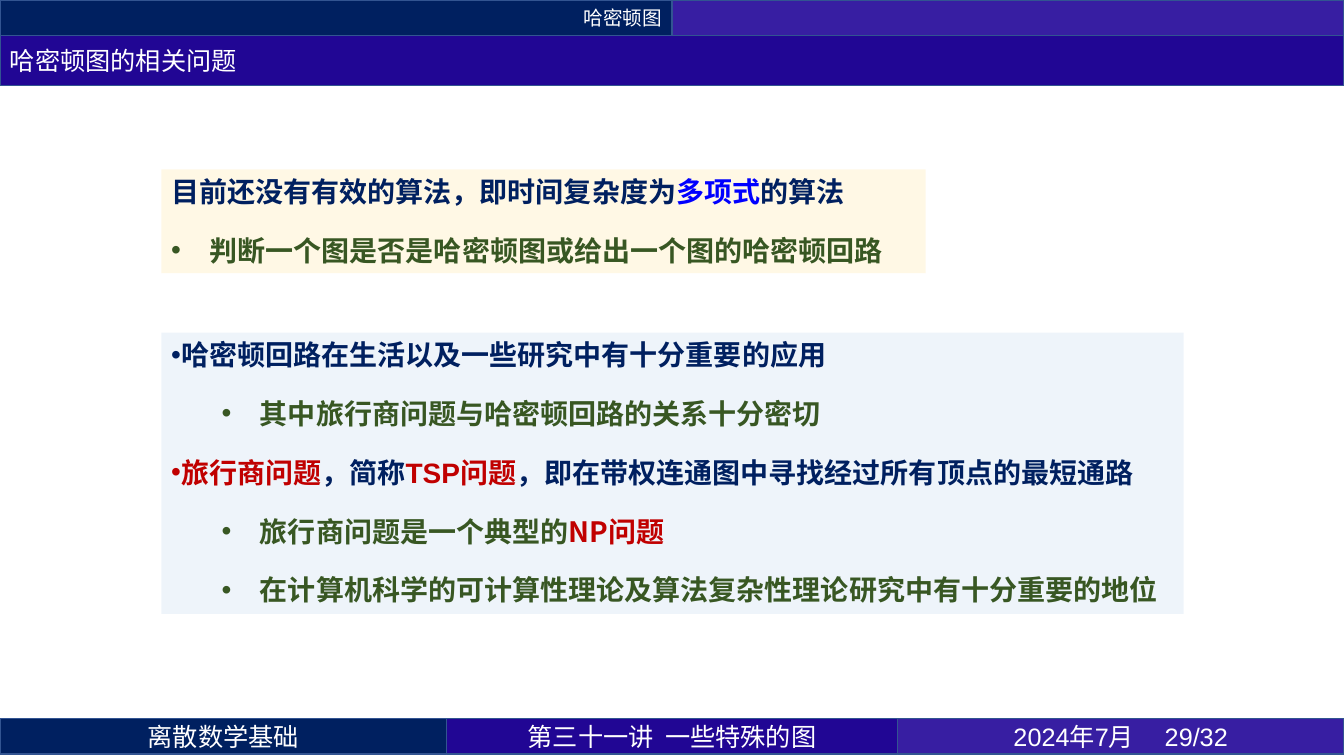
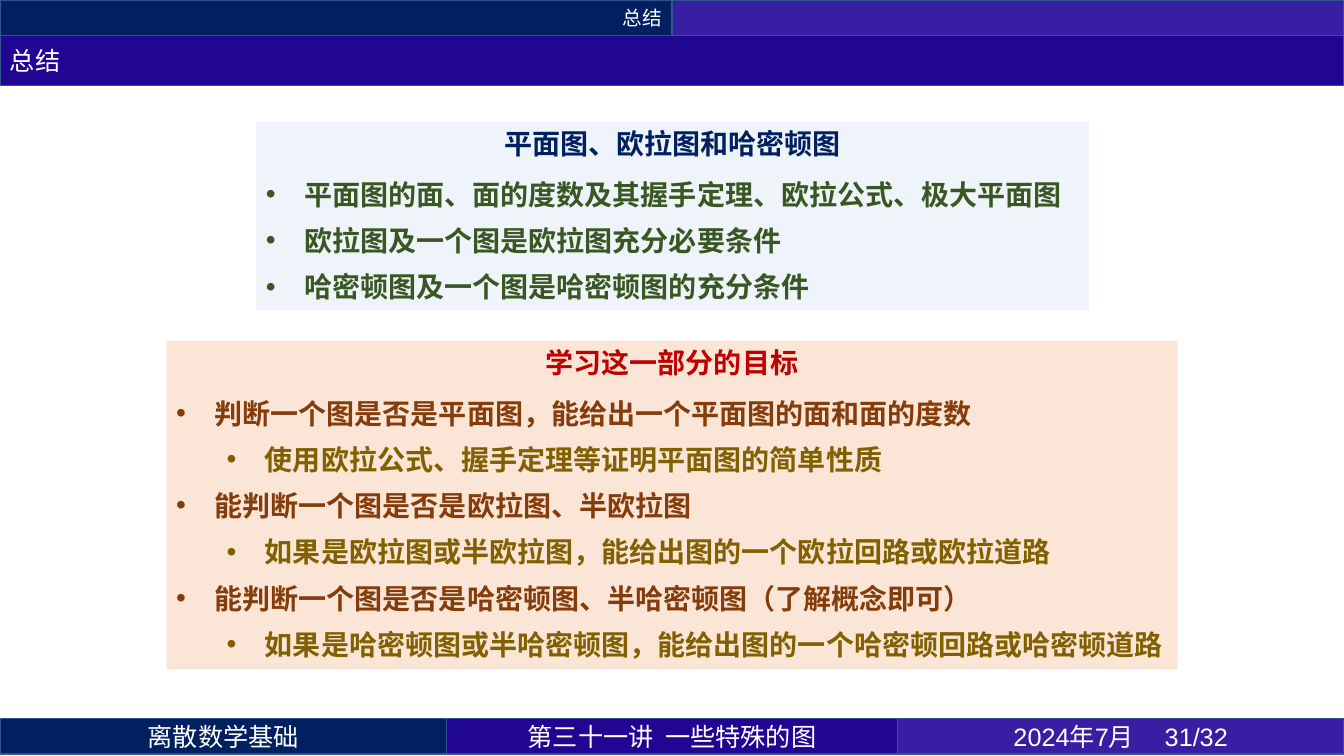
"""Build two lecture slides on Hamiltonian graphs and the lecture summary."""
from dataclasses import dataclass

from lxml.etree import SubElement
from pptx import Presentation
from pptx.dml.color import RGBColor
from pptx.enum.lang import MSO_LANGUAGE_ID as Language
from pptx.enum.shapes import MSO_SHAPE as Shape
from pptx.enum.text import MSO_ANCHOR as Anchor, MSO_AUTO_SIZE as AutoSize, PP_ALIGN as Align
from pptx.oxml.ns import qn
from pptx.util import Inches, Pt

COLORS = {
    "navy": "002060",
    "indigo": "210694",
    "violet": "371EA2",
    "outline": "325491",
    "white": "FFFFFF",
    "blue": "0000FF",
    "red": "C00000",
    "green": "385723",
    "brown": "843C0B",
    "olive": "806000",
    "pale_blue": "DEEBF7",
    "pale_yellow": "FFF2CC",
    "pale_orange": "FBE5D6",
}
CJK_FONT = "Noto Sans CJK SC"
LATIN_FONT = "Arial"
PAGE_WIDTH, PAGE_HEIGHT = 13.33, 7.5
BAND_HEIGHT, TITLE_HEIGHT = 0.35, 0.5
FOOTER_TOP = 7.13
SIDE_WIDTH, MIDDLE_WIDTH = 4.43, 4.47
HANGING = 0.38
LEVEL_MARGINS = (0.38, 0.88)


@dataclass
class Line:
    """Hold one paragraph: its spans of text and colour, and its layout."""
    spans: list
    after: int
    level: int = 0
    margin: float = 0
    bulleted: bool = False
    align: Align = Align.LEFT


def heading(text, color):
    """Describe the centred heading of a summary box."""
    return Line([(text, color)], after=6, align=Align.CENTER)


def bullet(*spans, after=3, level=0, margin=None):
    """Describe a bulleted line with the margin of its level by default."""
    if margin is None:
        margin = LEVEL_MARGINS[level]
    return Line(list(spans), after, level, margin, bulleted=True)


def rgb(name):
    """Return the named colour."""
    return RGBColor.from_string(COLORS[name])


def style_span(span, size, color, font=CJK_FONT, bold=False):
    """Format one run of text."""
    span.font.name = font
    span.font.size = Pt(size)
    span.font.bold = bold
    span.font.color.rgb = rgb(color)
    span.font.language_id = Language.SIMPLIFIED_CHINESE


def add_rectangle(page, left, top, width, height, fill):
    """Add a plain filled rectangle."""
    box = page.shapes.add_shape(
        Shape.RECTANGLE, Inches(left), Inches(top), Inches(width), Inches(height))
    box.shadow.inherit = False
    box.fill.solid()
    box.fill.fore_color.rgb = rgb(fill)
    return box


def add_band(page, left, top, width, height, fill, text="", size=18,
             align=Align.CENTER, font=CJK_FONT):
    """Add an outlined band with an optional white label."""
    band = add_rectangle(page, left, top, width, height, fill)
    band.line.color.rgb = rgb("outline")
    band.line.width = Pt(1)
    if text:
        band.text_frame.vertical_anchor = Anchor.MIDDLE
        para = band.text_frame.paragraphs[0]
        para.text = text
        para.alignment = align
        style_span(para.runs[0], size, "white", font)


def add_bullet_mark(para, margin):
    """Give a paragraph a round bullet and a hanging indent."""
    properties = para._p.get_or_add_pPr()
    properties.set("marL", str(Inches(margin)))
    properties.set("indent", str(Inches(-HANGING)))
    SubElement(properties, qn("a:buFont")).set("typeface", LATIN_FONT)
    SubElement(properties, qn("a:buChar")).set("char", "•")


def make_translucent(box, percent):
    """Set the opacity of a solid fill."""
    color = box._element.spPr.find(qn("a:solidFill")).find(qn("a:srgbClr"))
    SubElement(color, qn("a:alpha")).set("val", str(percent * 1000))


def add_text_panel(page, left, top, width, height, fill, lines, opacity=100):
    """Add a coloured panel of bold paragraphs."""
    panel = add_rectangle(page, left, top, width, height, fill)
    panel.line.fill.background()
    if opacity < 100:
        make_translucent(panel, opacity)
    frame = panel.text_frame
    frame.word_wrap = True
    frame.auto_size = AutoSize.SHAPE_TO_FIT_TEXT
    frame.vertical_anchor = Anchor.TOP
    for index, line in enumerate(lines):
        para = frame.add_paragraph() if index else frame.paragraphs[0]
        if line.bulleted:
            add_bullet_mark(para, line.margin)
        para.level = line.level
        para.alignment = line.align
        para.space_before = Pt(6 if index else 0)
        para.space_after = Pt(line.after)
        for text, color, *font in line.spans:
            span = para.add_run()
            span.text = text
            style_span(span, 20, color, *(font or [CJK_FONT]), bold=True)


def add_page(deck, section, title, number):
    """Add a page with its header, title and footer bands."""
    page = deck.slides.add_slide(deck.slide_layouts[6])
    half = PAGE_WIDTH / 2
    add_band(page, 0, 0, half, BAND_HEIGHT, "navy", section, 14, Align.RIGHT)
    add_band(page, half, 0, half, BAND_HEIGHT, "violet")
    add_band(page, 0, BAND_HEIGHT, PAGE_WIDTH, TITLE_HEIGHT, "indigo", title, align=Align.LEFT)
    left = 0
    for width, fill, text, font in (
        (SIDE_WIDTH, "navy", "离散数学基础", CJK_FONT),
        (MIDDLE_WIDTH, "indigo", "第三十一讲  一些特殊的图", CJK_FONT),
        (SIDE_WIDTH, "violet", f"2024年7月\t{number}/32", LATIN_FONT),
    ):
        add_band(page, left, FOOTER_TOP, width, BAND_HEIGHT, fill, text, font=font)
        left += width
    return page


def add_problems_page(deck):
    """Add the page on problems related to Hamiltonian graphs."""
    page = add_page(deck, "哈密顿图", "哈密顿图的相关问题", 29)
    add_text_panel(page, 1.6, 1.68, 7.58, 1.03, "pale_yellow", [
        Line([("目前还没有有效的算法，即时间复杂度为", "navy"),
              ("多项式", "blue"), ("的算法", "navy")], after=12),
        bullet(("判断一个图是否是哈密顿图或给出一个图的哈密顿回路", "green"), after=12),
    ], opacity=50)
    add_text_panel(page, 1.6, 3.3, 10.14, 2.79, "pale_blue", [
        bullet(("哈密顿回路在生活以及一些研究中有十分重要的应用", "navy"), after=12, margin=0),
        bullet(("其中旅行商问题与哈密顿回路的关系十分密切", "green"), after=12, level=1),
        bullet(("旅行商问题", "red", LATIN_FONT), ("，简称", "navy"),
               ("TSP问题", "red", LATIN_FONT),
               ("，即在带权连通图中寻找经过所有顶点的最短通路", "navy"), after=12, margin=0),
        bullet(("旅行商问题是一个典型的", "green"), ("NP问题", "red"), after=12, level=1),
        bullet(("在计算机科学的可计算性理论及算法复杂性理论研究中有十分重要的地位", "green"),
               after=12, level=1),
    ], opacity=50)


def add_summary_page(deck):
    """Add the page that sums up the lecture and its goals."""
    page = add_page(deck, "总结", "总结", 31)
    topics = (
        "平面图的面、面的度数及其握手定理、欧拉公式、极大平面图",
        "欧拉图及一个图是欧拉图充分必要条件",
        "哈密顿图及一个图是哈密顿图的充分条件",
    )
    add_text_panel(page, 2.54, 1.21, 8.26, 1.87, "pale_blue", [
        heading("平面图、欧拉图和哈密顿图", "navy"),
        *(bullet((topic, "green")) for topic in topics),
    ], opacity=50)
    goals = (
        ("判断一个图是否是平面图，能给出一个平面图的面和面的度数",
         "使用欧拉公式、握手定理等证明平面图的简单性质"),
        ("能判断一个图是否是欧拉图、半欧拉图",
         "如果是欧拉图或半欧拉图，能给出图的一个欧拉回路或欧拉道路"),
        ("能判断一个图是否是哈密顿图、半哈密顿图（了解概念即可）",
         "如果是哈密顿图或半哈密顿图，能给出图的一个哈密顿回路或哈密顿道路"),
    )
    lines = [heading("学习这一部分的目标", "red")]
    for goal, detail in goals:
        lines += [bullet((goal, "brown")), bullet((detail, "olive"), level=1)]
    add_text_panel(page, 1.65, 3.38, 10.03, 3.26, "pale_orange", lines)


def main():
    """Build and save the deck."""
    deck = Presentation()
    deck.slide_width = Inches(PAGE_WIDTH)
    deck.slide_height = Inches(PAGE_HEIGHT)
    add_problems_page(deck)
    add_summary_page(deck)
    deck.save("out.pptx")


if __name__ == "__main__":
    main()
